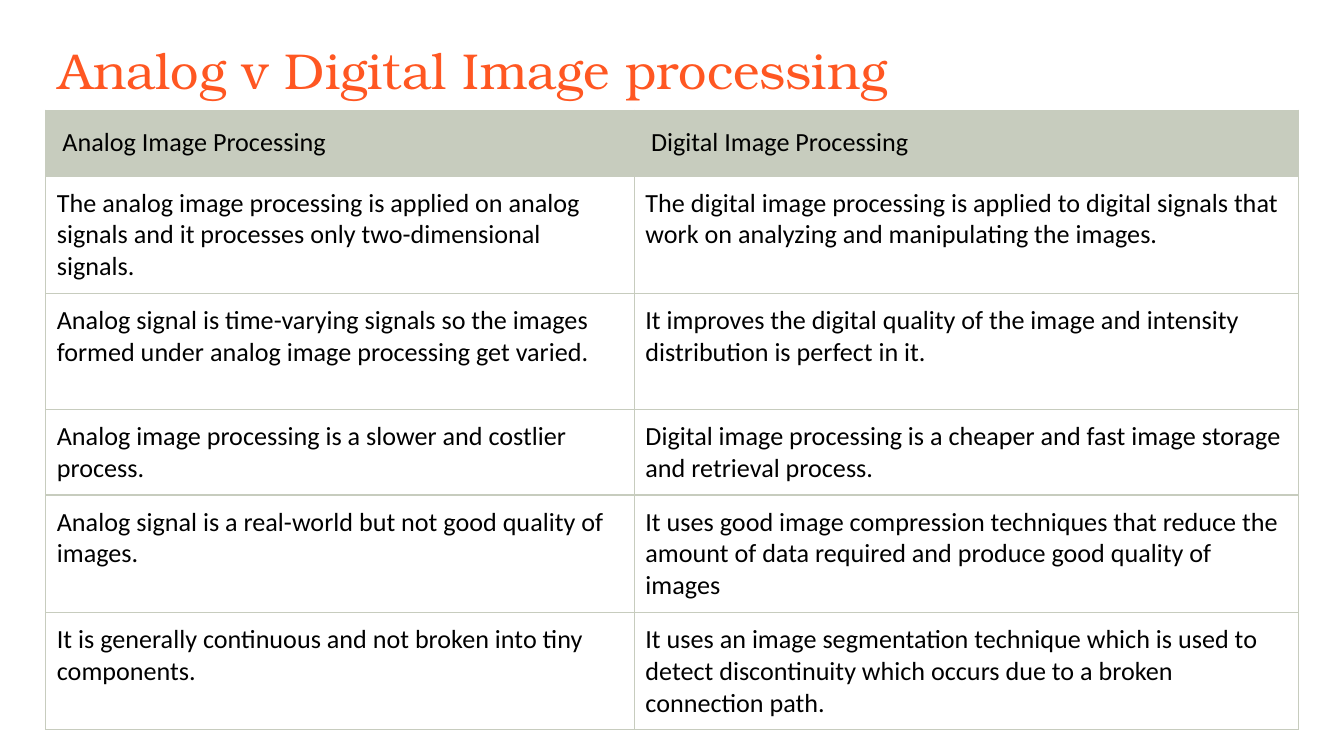
from lxml import etree
from pptx import Presentation
from pptx.dml.color import RGBColor
from pptx.enum import text
from pptx.oxml import ns
from pptx.util import Pt

TITLE = "Analog v Digital Image processing"
ROWS = [
    ("Analog Image Processing", "Digital Image Processing"),
    ("The analog image processing is applied on analog signals and it processes "
     "only two-dimensional signals.",
     "The digital image processing is applied to digital signals that work on "
     "analyzing and manipulating the images."),
    ("Analog signal is time-varying signals so the images formed under analog "
     "image processing get varied.",
     "It improves the digital quality of the image and intensity distribution "
     "is perfect in it."),
    ("Analog image processing is a slower and costlier process.",
     "Digital image processing is a cheaper and fast image storage and "
     "retrieval process."),
    ("Analog signal is a real-world but not good quality of images.",
     "It uses good image compression techniques that reduce the amount of data "
     "required and produce good quality of images"),
    ("It is generally continuous and not broken into tiny components.",
     "It uses an image segmentation technique which is used to detect "
     "discontinuity which occurs due to a broken connection path."),
]
COL_WIDTHS = [315.3, 355.7]
ROW_HEIGHTS = [35.3, 62.9, 62.4, 45.7, 62.9, 62.9]
LEFT, TITLE_TOP, TABLE_TOP = 24.5, 13.7, 59
ORANGE, SAGE, WHITE, BLACK = "FF5722", "C7CCBE", "FFFFFF", "000000"


def color(value):
    return RGBColor.from_string(value)


def write(tf, content, font="Calibri", size=14, fill=BLACK):
    tf.word_wrap = True
    r = tf.paragraphs[0].add_run()
    r.text = content
    r.font.name, r.font.size = font, Pt(size)
    r.font.bold = False
    r.font.color.rgb = color(fill)


def set_margins(box, inset):
    box.margin_left = box.margin_right = Pt(inset)
    box.margin_top = box.margin_bottom = Pt(inset)


def add_borders(cell, line, width=0.75):
    tcPr = cell._tc.get_or_add_tcPr()
    for side in "LRTB":
        ln = etree.SubElement(tcPr, ns.qn(f"a:ln{side}"), w=str(Pt(width)))
        solid = etree.SubElement(ln, ns.qn("a:solidFill"))
        etree.SubElement(solid, ns.qn("a:srgbClr"), val=line)


prs = Presentation()
prs.slide_width, prs.slide_height = Pt(720), Pt(405)
s = prs.slides.add_slide(prs.slide_layouts[6])

title = s.shapes.add_textbox(Pt(LEFT), Pt(TITLE_TOP), Pt(671), Pt(45.3))
set_margins(title.text_frame, 7.2)
title.text_frame.vertical_anchor = text.MSO_ANCHOR.TOP
write(title.text_frame, TITLE, font="TeX Gyre Bonum", size=27, fill=ORANGE)

table = s.shapes.add_table(
    len(ROWS), len(COL_WIDTHS), Pt(LEFT), Pt(TABLE_TOP),
    Pt(sum(COL_WIDTHS)), Pt(sum(ROW_HEIGHTS))).table
for column, width in zip(table.columns, COL_WIDTHS):
    column.width = Pt(width)
for i, (row, height, contents) in enumerate(zip(table.rows, ROW_HEIGHTS, ROWS)):
    row.height = Pt(height)
    for cell, content in zip(row.cells, contents):
        set_margins(cell, 6 if i else 9)
        add_borders(cell, SAGE)
        cell.fill.solid()
        cell.fill.fore_color.rgb = color(WHITE if i else SAGE)
        write(cell.text_frame, content)

prs.save("out.pptx")
